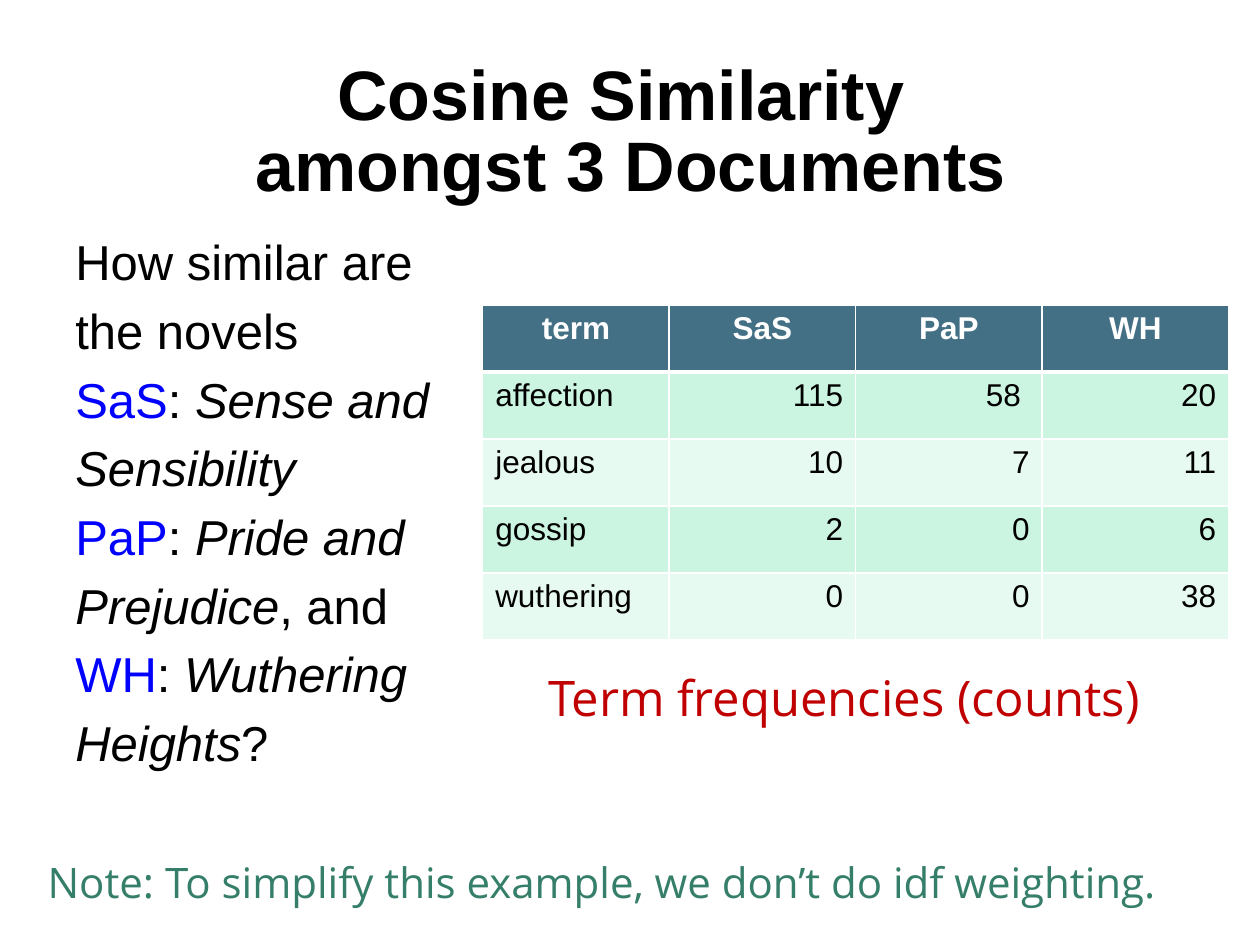
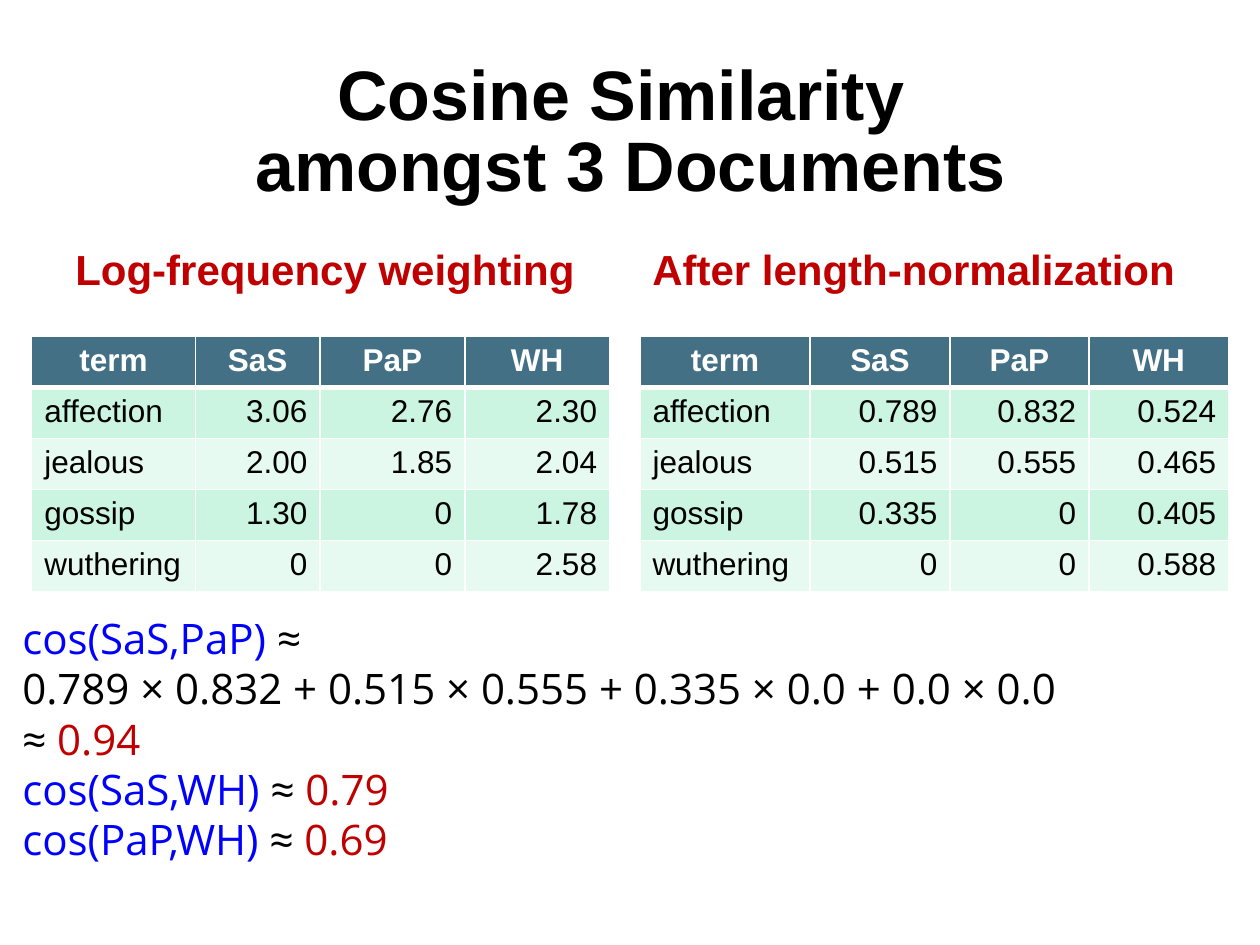
from lxml.etree import SubElement
from pptx import Presentation
from pptx.dml.color import RGBColor
from pptx.enum.text import MSO_ANCHOR, PP_ALIGN
from pptx.oxml.ns import qn
from pptx.util import Cm, Pt

HUES = {
    "black": "000000", "white": "FFFFFF", "blue": "0000FF", "red": "C00000",
    "green": "357E69", "head": "437085", "mint": "CBF5E1", "pale": "E7FAF1",
}
SANS, OPEN = "Arial", "Open Sans"
HEADS = ["term", "SaS", "PaP", "WH"]
TERMS = ["affection", "jealous", "gossip", "wuthering"]


def write(slide, place, lines, size, font=SANS, hue="black", bold=False, gap=False):
    """Add a text box; a line is a string or a list of (text, mark),
    where a mark is a colour name, "italic" or empty. gap adds 20% before lines."""
    box = slide.shapes.add_textbox(*[Cm(n) for n in place])
    frame = box.text_frame
    frame.word_wrap = True
    for i, line in enumerate(lines):
        para = frame.add_paragraph() if i else frame.paragraphs[0]
        marks = {}
        if isinstance(line, str):
            para.text = line
        else:
            for j, (text, mark) in enumerate(line):
                para.add_run().text = text
                marks[j] = mark
        if gap:
            space = SubElement(para._p.get_or_add_pPr(), qn("a:spcBef"))
            SubElement(space, qn("a:spcPct"), val="20000")
        for j, run in enumerate(para.runs):
            mark = marks.get(j, "")
            run.font.name, run.font.size = font, Pt(size)
            run.font.bold, run.font.italic = bold, mark == "italic"
            run.font.color.rgb = RGBColor.from_string(HUES.get(mark, HUES[hue]))
    return frame


def grid(slide, left, top, widths, height, counts):
    """Add a table of terms by novel, with rows of one height."""
    rows = [HEADS] + [[term] + nums for term, nums in zip(TERMS, counts)]
    table = slide.shapes.add_table(
        len(rows), len(HEADS), Cm(left), Cm(top),
        Cm(sum(widths)), Cm(height * len(rows))).table
    for col, width in zip(table.columns, widths):
        col.width = Cm(width)
    for r, row in enumerate(rows):
        table.rows[r].height = Cm(height)
        for c, text in enumerate(row):
            cell = table.cell(r, c)
            cell.text = text
            para = cell.text_frame.paragraphs[0]
            if r == 0:
                para.alignment = PP_ALIGN.CENTER
            elif c > 0:
                para.alignment = PP_ALIGN.RIGHT
            font = para.runs[0].font
            font.name, font.size, font.bold = SANS, Pt(18), r == 0
            font.color.rgb = RGBColor.from_string(HUES["black" if r else "white"])
            for side in "LRTB":
                thick = (r, side) in [(0, "B"), (1, "T")]
                edge = SubElement(cell._tc.get_or_add_tcPr(), qn("a:ln" + side),
                                  w=str(Pt(3 if thick else 1)))
                paint = SubElement(edge, qn("a:solidFill"))
                SubElement(paint, qn("a:srgbClr"), val=HUES["white"])
            band = "head" if r == 0 else "mint" if r % 2 else "pale"
            cell.fill.solid()
            cell.fill.fore_color.rgb = RGBColor.from_string(HUES[band])


deck = Presentation()
deck.slide_width, deck.slide_height = Cm(25.4), Cm(19.05)

slides = []
for _ in range(2):
    slide = deck.slides.add_slide(deck.slide_layouts[6])
    title = write(slide, (1.32, 1.27, 22.78, 2.74),
                  ["Cosine Similarity \vamongst 3 Documents"], 40, bold=True)
    title.margin_left = title.margin_right = 0
    title.margin_top = title.margin_bottom = 0
    title.paragraphs[0].alignment = PP_ALIGN.CENTER
    title.paragraphs[0].line_spacing = 0.85
    slides.append(slide)
first, second = slides

# Slide 1: the novels and their term counts
grid(first, 9.73, 6.15, [3.76] * 4, 1.35, [
    ["115", "58 ", "20"],
    ["10", "7", "11"],
    ["2", "0", "6"],
    ["0", "0", "38"],
])
write(first, (1.27, 4.55, 8.36, 13.03), [
    "How similar are",
    "the novels",
    [("SaS", "blue"), (": ", ""), ("Sense and", "italic")],
    [("Sensibility", "italic")],
    [("PaP", "blue"), (": ", ""), ("Pride and", "italic")],
    [("Prejudice", "italic"), (", and", "")],
    [("WH", "blue"), (": ", ""), ("Wuthering", "italic")],
    [("Heights", "italic"), ("?", "")],
], 28, gap=True)
write(first, (10.8, 13.34, 13.18, 1.45), ["Term frequencies (counts)"], 28, OPEN, "red")
write(first, (0.71, 17.15, 24.69, 1.3),
      ["Note: To simplify this example, we don’t do idf weighting."], 24, OPEN, "green")

# Slide 2: weights before and after they are normalized
panels = [
    ("Log-frequency weighting", 1.27, 0.64, [3.3, 2.51, 2.92, 2.92], [
        ["3.06", "2.76", "2.30"],
        ["2.00", "1.85", "2.04"],
        ["1.30", "0", "1.78"],
        ["0", "0", "2.58"],
    ]),
    ("After length-normalization", 12.9, 12.9, [3.43, 2.82, 2.8, 2.82], [
        ["0.789", "0.832", "0.524"],
        ["0.515", "0.555", "0.465"],
        ["0.335", "0", "0.405"],
        ["0", "0", "0.588"],
    ]),
]
for name, edge, left, widths, counts in panels:
    label = write(second, (edge, 4.27, 11.23, 1.78), [name], 24,
                  hue="red", bold=True, gap=True)
    label.vertical_anchor = MSO_ANCHOR.BOTTOM
    grid(second, left, 6.78, widths, 1.03, counts)

write(second, (0.2, 12.22, 24.1, 5.38), [
    [("cos(SaS,PaP) ", "blue"), ("≈", "")],
    "0.789 × 0.832 + 0.515 × 0.555 + 0.335 × 0.0 + 0.0 × 0.0",
    [("≈ ", ""), ("0.94", "red")],
    [("cos(SaS,WH)", "blue"), (" ≈ ", ""), ("0.79", "red")],
    [("cos(PaP,WH) ", "blue"), ("≈ ", ""), ("0.69", "red")],
], 24, OPEN)

deck.save("out.pptx")
